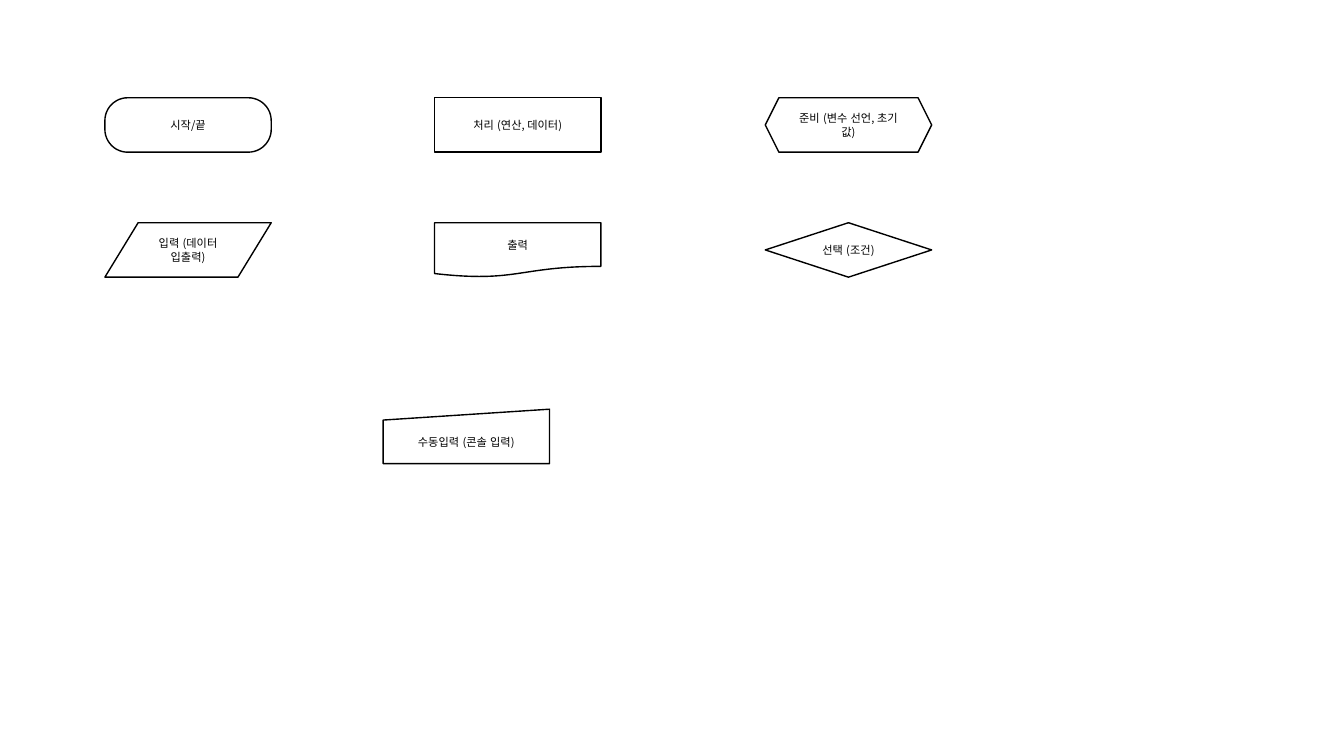
"""Build a slide of labelled flowchart symbols."""
from lxml.etree import SubElement
from pptx import Presentation
from pptx.dml.color import RGBColor
from pptx.enum.lang import MSO_LANGUAGE_ID
from pptx.enum.shapes import MSO_SHAPE
from pptx.enum.text import MSO_ANCHOR, PP_ALIGN
from pptx.oxml.ns import qn
from pptx.util import Pt

PX = 9144
PAGE_WIDTH, PAGE_HEIGHT = 1333, 750
SYMBOL_WIDTH, SYMBOL_HEIGHT = 165, 54
COLUMNS = (104, 431, 759)
ROWS = (97, 221)
MANUAL_INPUT_AT = (380, 406)

BLACK = RGBColor(0, 0, 0)
WHITE = RGBColor(255, 255, 255)
FONT_NAME = "Noto Sans CJK KR"
FONT_FORMAT = {
    "name": FONT_NAME,
    "size": Pt(8),
    "language_id": MSO_LANGUAGE_ID.KOREAN,
}
FRAME_FORMAT = {"word_wrap": True, "vertical_anchor": MSO_ANCHOR.MIDDLE}

GRID_SYMBOLS = (
    (
        (MSO_SHAPE.ROUNDED_RECTANGLE, "시작/끝"),
        (MSO_SHAPE.FLOWCHART_PROCESS, "처리 (연산, 데이터)"),
        (MSO_SHAPE.HEXAGON, "준비 (변수 선언, 초기값)"),
    ),
    (
        (MSO_SHAPE.FLOWCHART_DATA, "입력 (데이터 입출력)"),
        (MSO_SHAPE.FLOWCHART_DOCUMENT, "출력"),
        (MSO_SHAPE.FLOWCHART_DECISION, "선택 (조건)"),
    ),
)


def apply_format(target, values):
    """Set each attribute of the target from a dict."""
    for name, value in values.items():
        setattr(target, name, value)


def write_label(box, text):
    """Write a centred label inside a symbol."""
    apply_format(box.text_frame, FRAME_FORMAT)
    para = box.text_frame.paragraphs[0]
    para.alignment = PP_ALIGN.CENTER
    span = para.add_run()
    span.text = text
    apply_format(span.font, FONT_FORMAT)
    span.font.color.rgb = BLACK
    properties = span.font._element if hasattr(span.font, "_element") else span._r.get_or_add_rPr()
    SubElement(properties, qn("a:ea"), typeface=FONT_NAME)


def add_symbol(page, kind, left, top, text):
    """Add an outlined flowchart symbol with its label."""
    bounds = (left, top, SYMBOL_WIDTH, SYMBOL_HEIGHT)
    box = page.shapes.add_shape(kind, *(length * PX for length in bounds))
    box.shadow.inherit = False
    box.fill.solid()
    box.fill.fore_color.rgb = WHITE
    box.line.color.rgb = BLACK
    box.line.width = Pt(1)
    write_label(box, text)
    return box


def main():
    """Build and save the deck."""
    deck = Presentation()
    apply_format(deck, {"slide_width": PAGE_WIDTH * PX, "slide_height": PAGE_HEIGHT * PX})
    page = deck.slides.add_slide(deck.slide_layouts[6])
    for top, symbols in zip(ROWS, GRID_SYMBOLS):
        for left, (kind, text) in zip(COLUMNS, symbols):
            box = add_symbol(page, kind, left, top, text)
            if kind == MSO_SHAPE.ROUNDED_RECTANGLE:
                box.adjustments[0] = 0.42
    add_symbol(page, MSO_SHAPE.FLOWCHART_MANUAL_INPUT, *MANUAL_INPUT_AT, "수동입력 (콘솔 입력)")
    deck.save("out.pptx")


if __name__ == "__main__":
    main()
